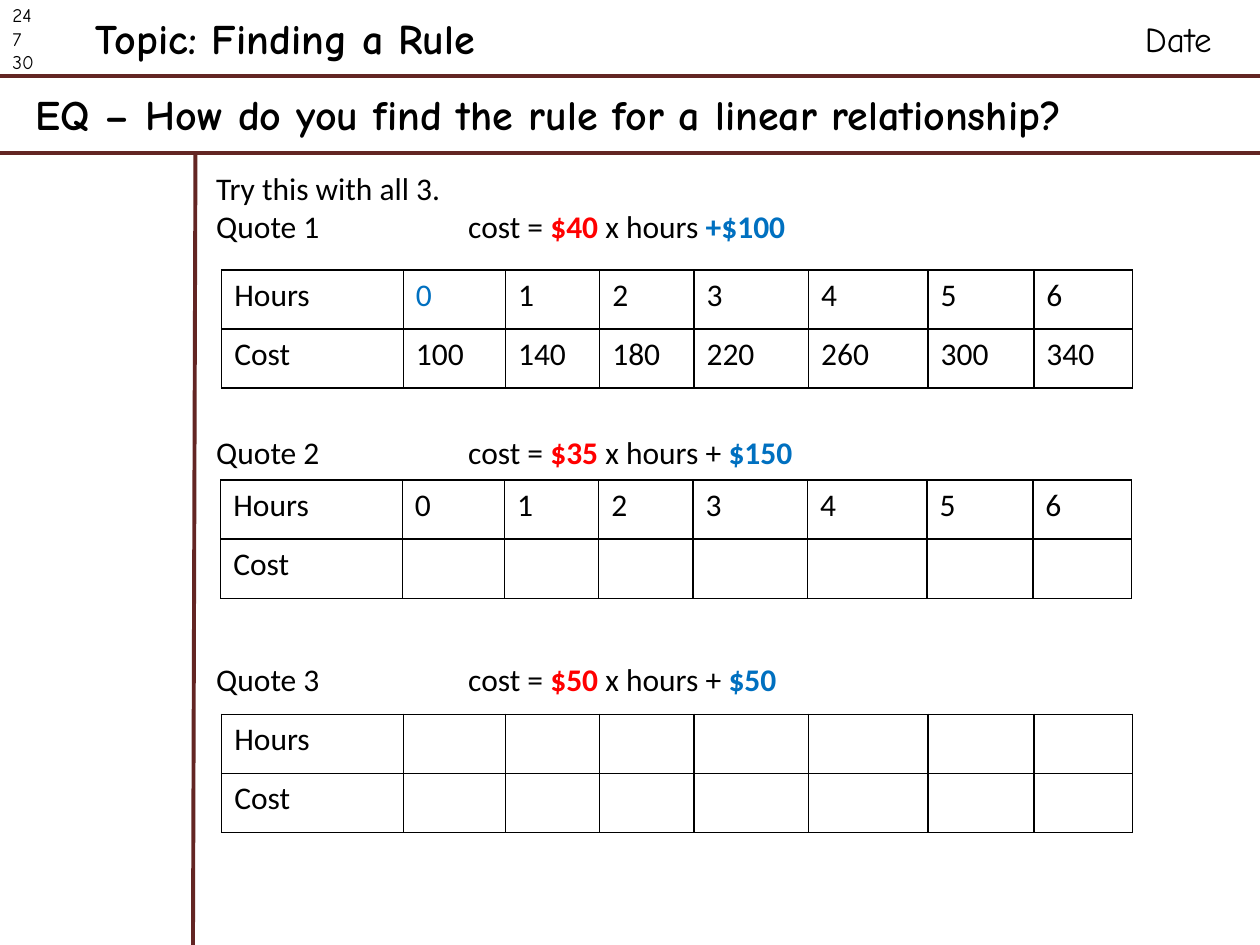
from dataclasses import dataclass
from lxml.etree import SubElement
from pptx import Presentation
from pptx.dml.color import RGBColor
from pptx.enum.shapes import MSO_CONNECTOR
from pptx.enum.text import MSO_ANCHOR, MSO_AUTO_SIZE, PP_ALIGN
from pptx.oxml.ns import qn
from pptx.util import Cm, Pt


@dataclass(frozen=True)
class Theme:
    ink: str = "000000"
    rule: str = "632523"
    rate: str = "FF0000"
    start: str = "0070C0"
    hand_font: str = "Comic Neue"
    body_font: str = "Calibri"
    heading_size: int = 24
    date_size: int = 20
    body_size: int = 18
    counter_size: int = 11
    rule_width: float = 2.25
    border_width: float = 1


@dataclass(frozen=True)
class Box:
    left: float
    top: float
    width: float
    height: float

    def inner(self, left, top, width, height):
        return Box(self.left + left, self.top + top, width, height)

    def lengths(self):
        return [Cm(value) for value in (self.left, self.top, self.width, self.height)]


THEME = Theme()
PAGE = Box(0, 0, 25.4, 19.05)
COLUMN_WIDTHS = [3.66, 2.06, 1.9, 1.9, 2.31, 2.41, 2.13, 1.99]
ROW_HEIGHT = 1.19
FORMULA_TAB = 5.08
QUOTE_GAP = 107.8
HOURS = [str(hour) for hour in range(7)]
BLANKS = [""] * 7


def add_span(para, text, font=THEME.body_font, size=THEME.body_size, color=THEME.ink, bold=False):
    span = para.add_run()
    span.text = text
    span.font.name = font
    span.font.size = Pt(size)
    span.font.bold = bold
    span.font.color.rgb = RGBColor.from_string(color)


def prepare_frame(shape, wrap=True):
    frame = shape.text_frame
    frame.word_wrap = wrap
    frame.auto_size = MSO_AUTO_SIZE.NONE
    frame.vertical_anchor = MSO_ANCHOR.TOP
    return frame


def add_text_box(page, box, lines, **text_format):
    frame = prepare_frame(page.shapes.add_textbox(*box.lengths()))
    for index, line in enumerate(lines):
        para = frame.add_paragraph() if index else frame.paragraphs[0]
        add_span(para, line, **text_format)


def add_rule(page, start, end):
    ends = [Cm(value) for value in (*start, *end)]
    rule = page.shapes.add_connector(MSO_CONNECTOR.STRAIGHT, *ends)
    rule.line.color.rgb = RGBColor.from_string(THEME.rule)
    rule.line.width = Pt(THEME.rule_width)
    SubElement(rule._element.spPr, qn("a:effectLst"))


def add_header(page, box):
    heading = {"font": THEME.hand_font, "size": THEME.heading_size, "bold": True}
    title = page.shapes.title
    title.left, title.top, title.width, title.height = box.inner(1.68, 0.13, 8.92, 1.27).lengths()
    para = prepare_frame(title, wrap=False).paragraphs[0]
    para.alignment = PP_ALIGN.LEFT
    add_span(para, "Topic: Finding a Rule", **heading)

    for height in (box.height / 2, box.height):
        bottom = box.top + height
        add_rule(page, (box.left, bottom), (box.left + box.width, bottom))
    add_text_box(page, box.inner(0, -0.05, 1.42, 1.68), ["24", "7", "30"],
                 font=THEME.hand_font, size=THEME.counter_size)
    add_text_box(page, box.inner(22.83, 0.23, 2.31, 1.12), ["Date"],
                 font=THEME.hand_font, size=THEME.date_size)
    add_text_box(page, box.inner(0.46, 1.65, 24, 1.27),
                 ["EQ – How do you find the rule for a linear relationship?"], **heading)


def add_formula(para, name, rate, plus, start):
    tabs = SubElement(para._p.get_or_add_pPr(), qn("a:tabLst"))
    SubElement(tabs, qn("a:tab"), pos=str(Cm(FORMULA_TAB)), algn="l")
    add_span(para, f"{name}\tcost = ")
    add_span(para, f"{rate} ", color=THEME.rate, bold=True)
    add_span(para, f"x hours {plus}")
    add_span(para, start, color=THEME.start, bold=True)


def add_quotes(page, box):
    frame = prepare_frame(page.shapes.add_textbox(*box.lengths()))
    add_span(frame.paragraphs[0], "Try this with all 3.")
    quotes = [
        ("Quote 1", "$40", "", "+$100"),
        ("Quote 2", "$35", "+ ", "$150"),
        ("Quote 3", "$50", "+ ", "$50"),
    ]
    for index, quote in enumerate(quotes):
        para = frame.add_paragraph()
        if index:
            para.space_before = Pt(QUOTE_GAP)
        add_formula(para, *quote)


def format_cell(cell):
    properties = cell._tc.get_or_add_tcPr()
    for side in ("lnL", "lnR", "lnT", "lnB"):
        border = SubElement(properties, qn(f"a:{side}"), w=str(Pt(THEME.border_width)))
        fill = SubElement(border, qn("a:solidFill"))
        SubElement(fill, qn("a:srgbClr"), val=THEME.ink)
    cell.fill.background()


def add_cost_table(page, box, hours, costs, first_color=THEME.ink):
    rows = [["Hours", *hours], ["Cost", *costs]]
    table = page.shapes.add_table(len(rows), len(COLUMN_WIDTHS), *box.lengths()).table
    table.first_row = False
    table.horz_banding = False
    for column, width in zip(table.columns, COLUMN_WIDTHS):
        column.width = Cm(width)
    for row_index, values in enumerate(rows):
        table.rows[row_index].height = Cm(ROW_HEIGHT)
        for column_index, value in enumerate(values):
            cell = table.cell(row_index, column_index)
            format_cell(cell)
            para = cell.text_frame.paragraphs[0]
            if value:
                color = first_color if (row_index, column_index) == (0, 1) else THEME.ink
                add_span(para, value, color=color)
            else:
                para.font.size = Pt(THEME.body_size)


def add_notes_area(page, box):
    add_rule(page, (box.left + 3.94, box.top), (box.left + 3.89, box.top + box.height))
    add_quotes(page, box.inner(4.11, 0.16, 20.35, 11.79))
    costs = [str(100 + 40 * hour) for hour in range(7)]
    tables = [
        (4.47, 2.32, HOURS, costs, THEME.start),
        (4.45, 6.56, HOURS, BLANKS, THEME.ink),
        (4.47, 11.28, BLANKS, BLANKS, THEME.ink),
    ]
    for left, top, *content in tables:
        table_box = box.inner(left, top, sum(COLUMN_WIDTHS), 2 * ROW_HEIGHT)
        add_cost_table(page, table_box, *content)


def main():
    deck = Presentation()
    deck.slide_width, deck.slide_height = Cm(PAGE.width), Cm(PAGE.height)
    page = deck.slides.add_slide(deck.slide_layouts[5])
    add_header(page, PAGE.inner(0, 0, PAGE.width, 3.08))
    add_notes_area(page, PAGE.inner(0, 3.12, PAGE.width, 15.93))
    deck.save("out.pptx")


if __name__ == "__main__":
    main()
